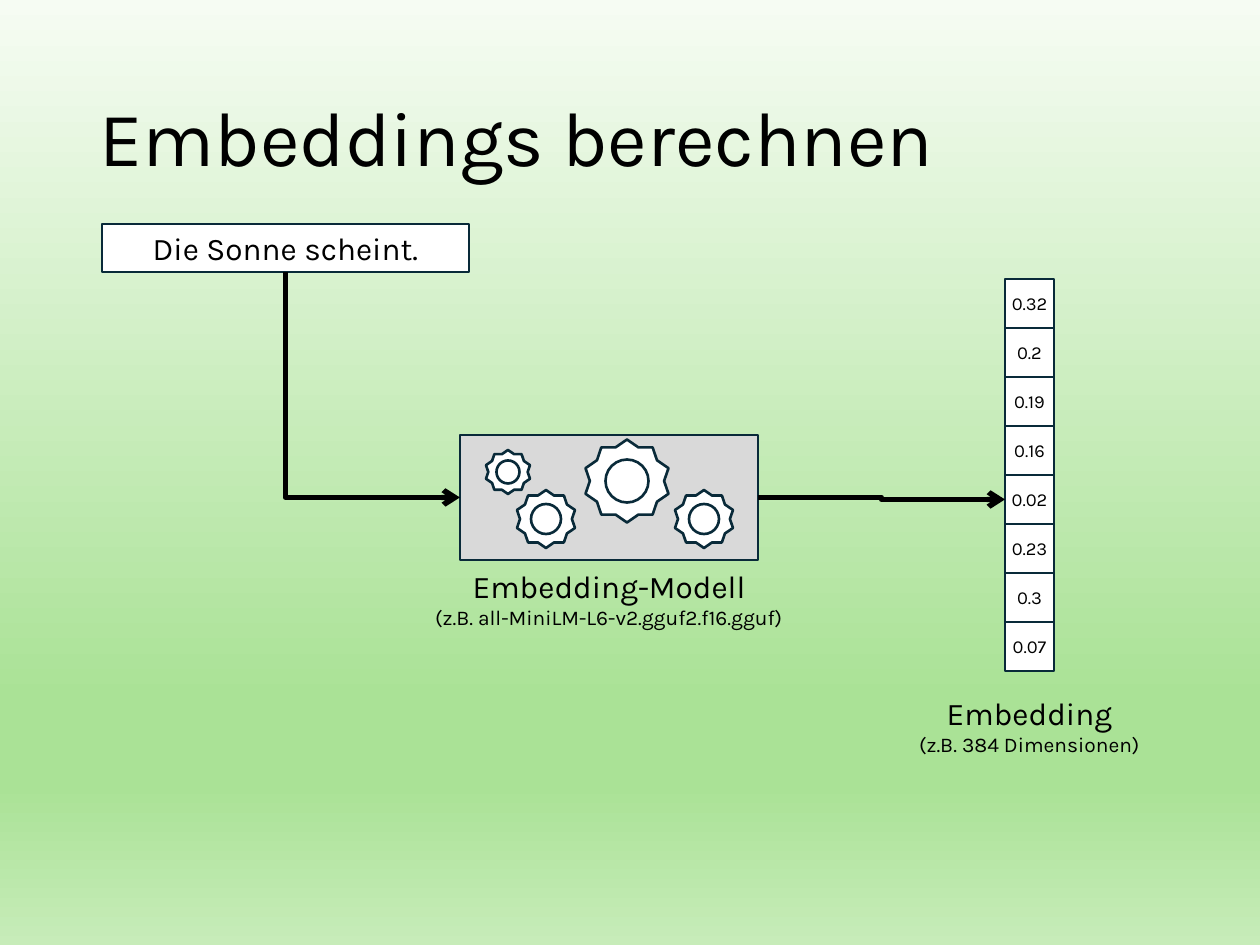
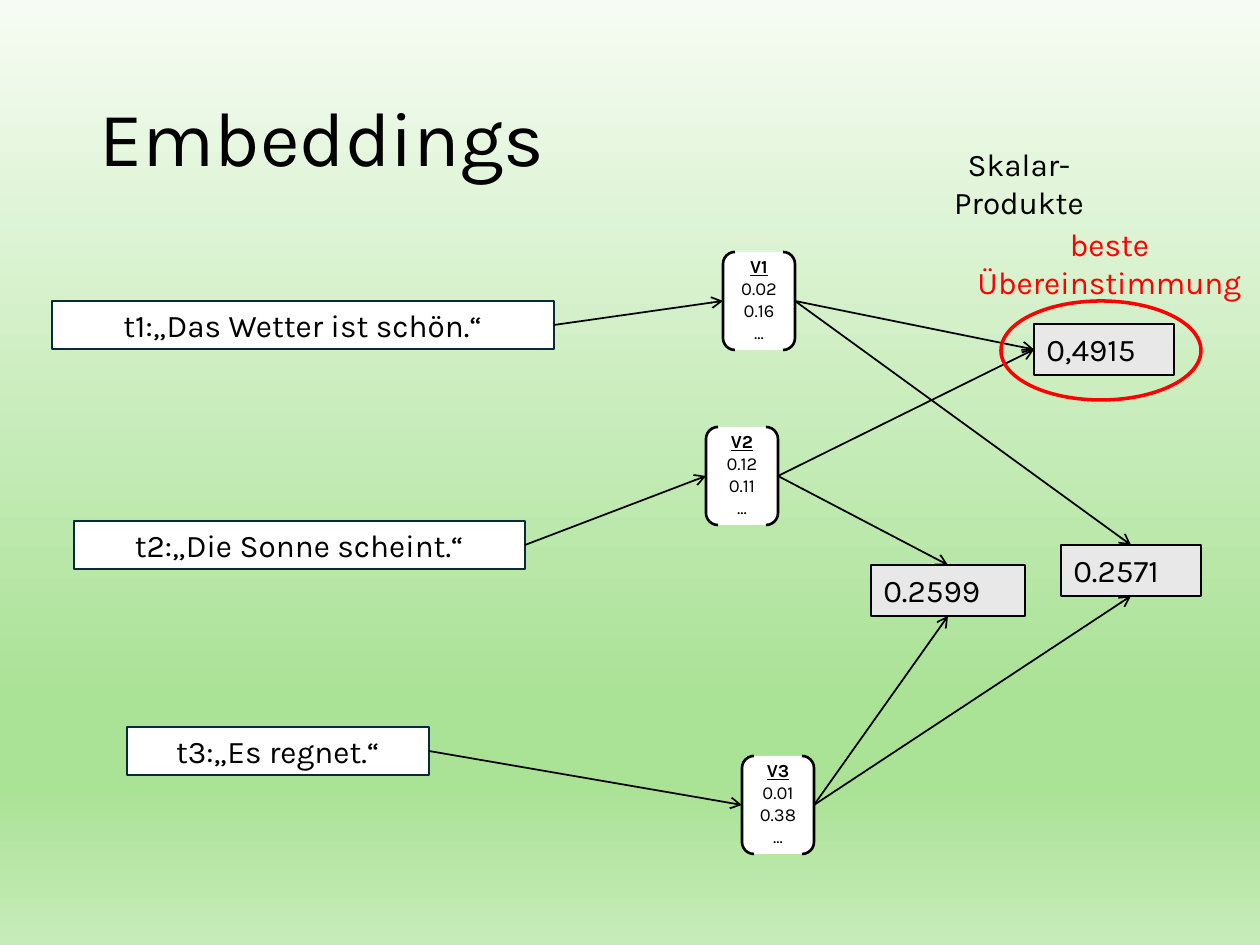
from lxml.etree import SubElement
from pptx import Presentation
from pptx.dml.color import RGBColor
from pptx.enum.shapes import MSO_CONNECTOR, MSO_SHAPE
from pptx.enum.text import MSO_ANCHOR, PP_ALIGN
from pptx.oxml.ns import qn
from pptx.util import Emu, Pt

EMU_PER_PX = 914400 / 126
SLIDE_SIZE = (1260, 945)
FONT = "Karla"
BLACK, WHITE, NAVY, RED = "000000", "FFFFFF", "092A39", "FF0000"
MODEL_GREY, PRODUCT_GREY = "D9D9D9", "E8E8E8"
BACKGROUND_STOPS = [(0, "F6FCF3"), (74, "AAE296"), (83, "AAE296"), (100, "C7ECB9")]
TITLE_BOX = (87, 50, 1086, 183)
TOP, LEFT, BOTTOM, RIGHT = range(4)
BODY = {"size": Pt(18)}
NOTE = {"size": Pt(12)}
NUMBER = {"size": Pt(10.5)}
HEADING = {**NUMBER, "bold": True, "underline": True}
UNWRAPPED = {"word_wrap": False, "vertical_anchor": MSO_ANCHOR.MIDDLE}
NO_INSETS = {f"margin_{side}": 0 for side in ("left", "top", "right", "bottom")}


def px(length):
    """Turn a length in px into EMU."""
    return Emu(round(length * EMU_PER_PX))


def colour(value):
    """Turn a hex string into a colour."""
    return RGBColor.from_string(value)


def apply(target, values):
    """Set every attribute named in a dict of format values."""
    for name, value in values.items():
        setattr(target, name, value)


def write(frame, lines, layout, ink=BLACK, align=PP_ALIGN.CENTER, spacing=None):
    """Fill a text frame with (text, font format) lines."""
    apply(frame, layout)
    for index, (text, font_format) in enumerate(lines):
        paragraph = frame.add_paragraph() if index else frame.paragraphs[0]
        apply(paragraph, {"alignment": align, "line_spacing": spacing})
        run = paragraph.add_run()
        run.text = text
        apply(run.font, {"name": FONT, **font_format})
        run.font.color.rgb = colour(ink)


def add_label(slide, box, lines, ink=BLACK, **options):
    """Place free text that wraps inside its box."""
    label = slide.shapes.add_textbox(*map(px, box))
    layout = {"word_wrap": True, **options.pop("layout", {})}
    write(label.text_frame, lines, layout, ink, **options)


def add_outlined(slide, kind, box, fill=WHITE, line=NAVY, width=1.5):
    """Place a preset shape with a plain fill and outline."""
    outlined = slide.shapes.add_shape(kind, *map(px, box))
    outlined.shadow.inherit = False
    if fill:
        outlined.fill.solid()
        outlined.fill.fore_color.rgb = colour(fill)
    else:
        outlined.fill.background()
    outlined.line.color.rgb = colour(line)
    outlined.line.width = Pt(width)
    return outlined


def add_arrow(slide, source, source_side, target, target_side, width=1,
              kind=MSO_CONNECTOR.STRAIGHT):
    """Connect two shapes with an arrow."""
    arrow = slide.shapes.add_connector(kind, 0, 0, 0, 0)
    arrow.begin_connect(source, source_side)
    arrow.end_connect(target, target_side)
    arrow.line.color.rgb = colour(BLACK)
    arrow.line.width = Pt(width)
    SubElement(arrow.line._get_or_add_ln(), qn("a:tailEnd"), type="arrow")
    SubElement(arrow.element.spPr, qn("a:effectLst"))
    return arrow


def turn_once(arrow):
    """Make an elbow arrow run down first and then right."""
    left, top, width, height = arrow.left, arrow.top, arrow.width, arrow.height
    shift = (width - height) // 2
    apply(arrow, {"left": left + shift, "top": top - shift,
                  "width": height, "height": width})
    properties = arrow.element.spPr
    properties.find(qn("a:prstGeom")).set("prst", "bentConnector2")
    frame = properties.find(qn("a:xfrm"))
    frame.set("rot", "16200000")
    frame.set("flipH", "1")


def paint_background(master):
    """Give all slides the vertical green gradient."""
    fill = master.background.fill
    fill.gradient()
    fill.gradient_angle = 270
    stops = next(master.element.iter(qn("a:gsLst")))
    for stop in list(stops):
        stops.remove(stop)
    for position, value in BACKGROUND_STOPS:
        stop = SubElement(stops, qn("a:gs"), pos=str(position * 1000))
        SubElement(stop, qn("a:srgbClr"), val=value)


def add_titled_slide(deck, title):
    """Add a blank slide with the shared title style."""
    slide = deck.slides.add_slide(deck.slide_layouts[6])
    add_label(slide, TITLE_BOX, [(title, {"size": Pt(44)})], align=PP_ALIGN.LEFT,
              spacing=0.9, layout={"vertical_anchor": MSO_ANCHOR.MIDDLE})
    return slide


def add_sentence(slide, left, top, width, text):
    """Place an input sentence in a white box."""
    sentence = add_outlined(slide, MSO_SHAPE.RECTANGLE, (left, top, width, 48))
    write(sentence.text_frame, [(text, BODY)], UNWRAPPED)
    return sentence


def add_gear(slide, centre_x, centre_y, size):
    """Draw a gear wheel with a round hub."""
    hub = round(size * 0.52)
    for kind, side in ((MSO_SHAPE.STAR_10_POINT, size), (MSO_SHAPE.OVAL, hub)):
        add_outlined(slide, kind, (centre_x - side / 2, centre_y - side / 2, side, side))


def add_model(slide, box):
    """Draw the embedding model as a case of gears with a caption."""
    left, top, width, height = box
    case = add_outlined(slide, MSO_SHAPE.RECTANGLE, box, MODEL_GREY)
    for x, y, size in ((86, 84, 58), (167, 46, 83), (244, 84, 58), (48, 37, 44)):
        add_gear(slide, left + x, top + y, size)
    add_label(slide, (left - 125, top + height + 1, width + 250, 77),
              [("Embedding-Modell", BODY),
               ("(z.B. all-MiniLM-L6-v2.gguf2.f16.gguf)", NOTE)])
    return case


def add_embedding(slide, left, top, values, side=49):
    """Stack the embedding values in square cells above a caption."""
    cells = []
    for row, value in enumerate(values):
        cell = add_outlined(slide, MSO_SHAPE.RECTANGLE,
                            (left, top + row * side, side, side))
        write(cell.text_frame, [(value, NUMBER)], {**UNWRAPPED, **NO_INSETS})
        cells.append(cell)
    add_label(slide, (left - 133, top + len(values) * side + 17, 315, 77),
              [("Embedding", BODY), ("(z.B. 384 Dimensionen)", NOTE)])
    return cells


def add_vector(slide, left, top, name, values):
    """Place a named vector between brackets."""
    vector = add_outlined(slide, MSO_SHAPE.DOUBLE_BRACKET, (left, top, 72, 98), line=BLACK)
    lines = [(name, HEADING)] + [(value, NUMBER) for value in (*values, "...")]
    write(vector.text_frame, lines,
          {"word_wrap": False, "vertical_anchor": MSO_ANCHOR.TOP, **NO_INSETS})
    return vector


def add_product(slide, left, top, width, value):
    """Place a scalar product in a grey box."""
    product = add_outlined(slide, MSO_SHAPE.RECTANGLE, (left, top, width, 51),
                           PRODUCT_GREY, BLACK)
    write(product.text_frame, [(value, BODY)],
          {"word_wrap": True, "vertical_anchor": MSO_ANCHOR.TOP}, align=PP_ALIGN.LEFT)
    return product


def build_calculation(deck):
    """Show how a sentence becomes an embedding."""
    slide = add_titled_slide(deck, "Embeddings berechnen")
    sentence = add_sentence(slide, 102, 224, 367, "Die Sonne scheint.")
    model = add_model(slide, (460, 435, 298, 125))
    cells = add_embedding(slide, 1005, 279, ["0.32", "0.2", "0.19", "0.16",
                                             "0.02", "0.23", "0.3", "0.07"])
    elbow = {"width": 3, "kind": MSO_CONNECTOR.ELBOW}
    turn_once(add_arrow(slide, sentence, BOTTOM, model, LEFT, **elbow))
    add_arrow(slide, model, RIGHT, cells[4], LEFT, **elbow)


def build_comparison(deck):
    """Compare three sentences by their scalar products."""
    slide = add_titled_slide(deck, "Embeddings")
    rows = [
        ((52, 301, 502, "t1:„Das Wetter ist schön.“"), (723, 252, "V1", ("0.02", "0.16"))),
        ((74, 521, 451, "t2:„Die Sonne scheint.“"), (706, 427, "V2", ("0.12", "0.11"))),
        ((127, 727, 302, "t3:„Es regnet.“"), (742, 756, "V3", ("0.01", "0.38"))),
    ]
    vectors = []
    for sentence_values, vector_values in rows:
        sentence = add_sentence(slide, *sentence_values)
        vectors.append(add_vector(slide, *vector_values))
        add_arrow(slide, sentence, RIGHT, vectors[-1], LEFT)

    products = [
        ((1034, 324, 140, "0,4915"), ((0, LEFT), (1, LEFT))),
        ((1061, 545, 140, "0.2571"), ((0, TOP), (2, BOTTOM))),
        ((871, 565, 154, "0.2599"), ((1, TOP), (2, BOTTOM))),
    ]
    for product_values, factors in products:
        product = add_product(slide, *product_values)
        for factor, side in factors:
            add_arrow(slide, vectors[factor], RIGHT, product, side)

    add_label(slide, (906, 139, 226, 83), [("Skalar-Produkte", BODY)])
    add_outlined(slide, MSO_SHAPE.OVAL, (1001, 301, 200, 99), None, RED, 2)
    add_label(slide, (959, 219, 301, 83), [("beste Übereinstimmung", BODY)], RED)


def main():
    """Build and save the presentation."""
    deck = Presentation()
    deck.slide_width, deck.slide_height = map(px, SLIDE_SIZE)
    paint_background(deck.slide_master)
    build_calculation(deck)
    build_comparison(deck)
    deck.save("out.pptx")


if __name__ == "__main__":
    main()
